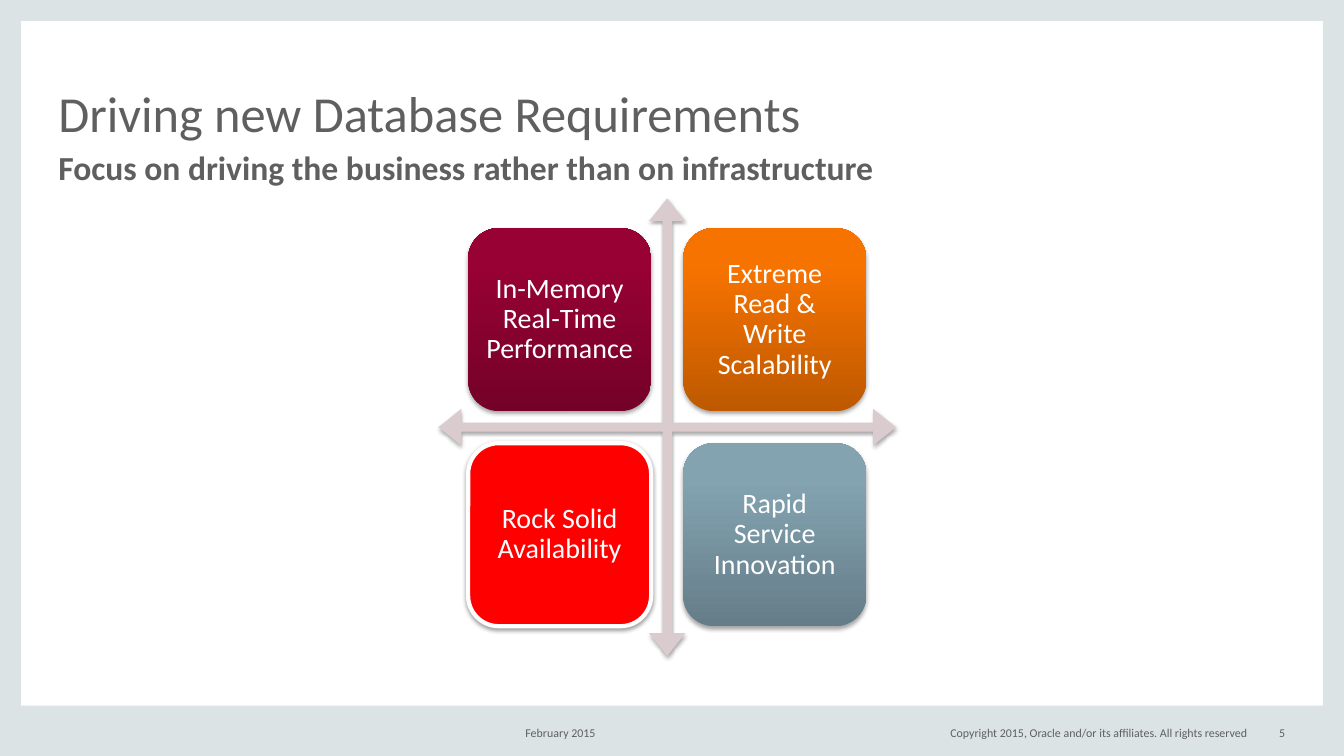
from copy import deepcopy
from lxml.etree import SubElement
from pptx import Presentation
from pptx.dml.color import RGBColor
from pptx.enum.shapes import MSO_SHAPE
from pptx.enum.text import MSO_ANCHOR, PP_ALIGN
from pptx.oxml.ns import qn
from pptx.util import Cm, Pt

# Content
TITLE = "Driving new Database Requirements"
SUBTITLE = "Focus on driving the business rather than on infrastructure"
QUADRANTS = [  # text, fill colours from bottom to top
    ("In-Memory Real-Time Performance", ["740128", "970133", "990033"]),
    ("Extreme Read & Write Scalability", ["BE5900", "F77300", "F87400"]),
    ("Rock Solid Availability", ["FF0000"]),
    ("Rapid Service Innovation", ["657D88", "83A3B1", "83A4B2"]),
]
FOOTER = [  # text, left, width, alignment
    ("February 2015", 11.61, 3.4, PP_ALIGN.RIGHT),
    ("Copyright 2015, Oracle and/or its affiliates. All rights reserved",
     23.95, 7.62, PP_ALIGN.LEFT),
    ("5", 31.32, 1.07, PP_ALIGN.RIGHT),
]
GREY, WHITE, FRAME, ARROW = "5F5F5F", "FFFFFF", "DCE3E4", "DACCCE"
STOPS = (0, 0.8, 1)

# Layout in centimetres
SLIDE_W, SLIDE_H = 33.87, 19.05
EDGE, FOOT = 0.53, 1.27
MARGIN, TEXT_W = 1.47, 30.91
MATRIX_LEFT, MATRIX_TOP, MATRIX = 11.05, 5.0, 11.53
TILE, TILE_INSET, TILE_PITCH = 0.4 * MATRIX, 0.065 * MATRIX, 0.47 * MATRIX

deck = Presentation()
deck.slide_width, deck.slide_height = Cm(SLIDE_W), Cm(SLIDE_H)
slide = deck.slides.add_slide(deck.slide_layouts[6])


def rgb(value):
    return RGBColor.from_string(value)


def write(shape, text, size, color=GREY, bold=False, align=PP_ALIGN.LEFT,
          anchor=MSO_ANCHOR.MIDDLE, spacing=1.0, inset=0, wrap=True):
    frame = shape.text_frame
    frame.word_wrap = wrap
    frame.vertical_anchor = anchor
    frame.margin_left = frame.margin_right = Cm(inset)
    frame.margin_top = frame.margin_bottom = Cm(inset)
    paragraph = frame.paragraphs[0]
    paragraph.alignment = align
    paragraph.line_spacing = spacing
    run = paragraph.add_run()
    run.text = text
    run.font.name, run.font.size, run.font.bold = "Calibri", Pt(size), bold
    run.font.color.rgb = rgb(color)


def add_label(text, left, top, width, height, **style):
    box = slide.shapes.add_textbox(Cm(left), Cm(top), Cm(width), Cm(height))
    write(box, text, **style)


def add_block(kind, left, top, width, height, colors):
    block = slide.shapes.add_shape(kind, Cm(left), Cm(top), Cm(width), Cm(height))
    block.shadow.inherit = False
    block.line.fill.background()
    if len(colors) == 1:
        block.fill.solid()
        block.fill.fore_color.rgb = rgb(colors[0])
        return block
    block.fill.gradient()
    block.fill.gradient_angle = 90
    stop_list = block._element.spPr.find(".//" + qn("a:gsLst"))
    stop_list.append(deepcopy(stop_list[0]))
    for stop, position, color in zip(block.fill.gradient_stops, STOPS, colors):
        stop.position = position
        stop.color.rgb = rgb(color)
    return block


def drop_shadow(block, distance=1.8, opacity=35):
    effects = block._element.spPr.find(qn("a:effectLst"))
    shadow = SubElement(effects, qn("a:outerShdw"), blurRad=str(Pt(3.1)),
                        dist=str(Pt(distance)), dir="5400000", rotWithShape="0")
    black = SubElement(shadow, qn("a:srgbClr"), val="000000")
    SubElement(black, qn("a:alpha"), val=str(opacity * 1000))


# Frame around the slide
for edge in [(0, 0, EDGE, SLIDE_H), (SLIDE_W - EDGE, 0, EDGE, SLIDE_H),
             (0, SLIDE_H - FOOT, SLIDE_W, FOOT), (0, 0, SLIDE_W, EDGE)]:
    add_block(MSO_SHAPE.RECTANGLE, *edge, [FRAME])

# Headings
add_label(SUBTITLE, MARGIN, 3.81, TEXT_W, 0.97, size=24, bold=True,
          anchor=MSO_ANCHOR.TOP, spacing=0.9)
add_label(TITLE, MARGIN, 1.12, TEXT_W, 2.46, size=36,
          anchor=MSO_ANCHOR.BOTTOM, spacing=0.8)

# Four-way arrow
axes = add_block(MSO_SHAPE.QUAD_ARROW, MATRIX_LEFT, MATRIX_TOP, MATRIX, MATRIX, [ARROW])
for index, share in enumerate((0.02, 0.04, 0.05)):
    axes.adjustments[index] = share
drop_shadow(axes)

# Quadrants, two per row
for index, (requirement, colors) in enumerate(QUADRANTS):
    row, column = divmod(index, 2)
    tile = add_block(MSO_SHAPE.ROUNDED_RECTANGLE,
                     MATRIX_LEFT + TILE_INSET + column * TILE_PITCH,
                     MATRIX_TOP + TILE_INSET + row * TILE_PITCH, TILE, TILE, colors)
    highlighted = len(colors) == 1
    if highlighted:
        tile.line.color.rgb = rgb(WHITE)
        tile.line.width = Pt(3)
        drop_shadow(tile, distance=1.6, opacity=38)
    else:
        drop_shadow(tile)
    write(tile, requirement, size=20, color=WHITE, align=PP_ALIGN.CENTER,
          spacing=0.9, inset=0.2)

# Footer
for text, left, width, align in FOOTER:
    add_label(text, left, 18.21, width, 0.51, size=8.5, align=align, wrap=False)

deck.save("out.pptx")
